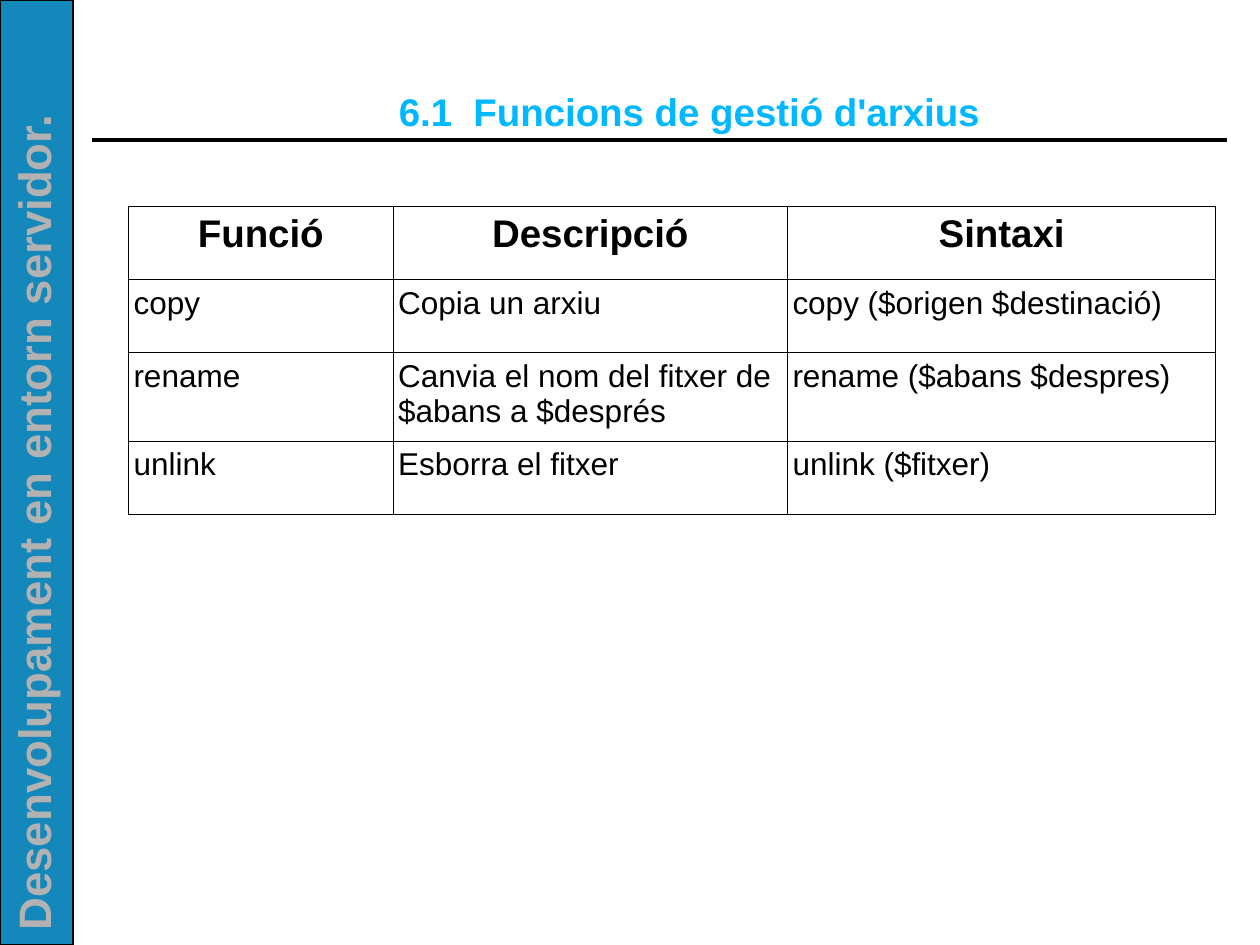
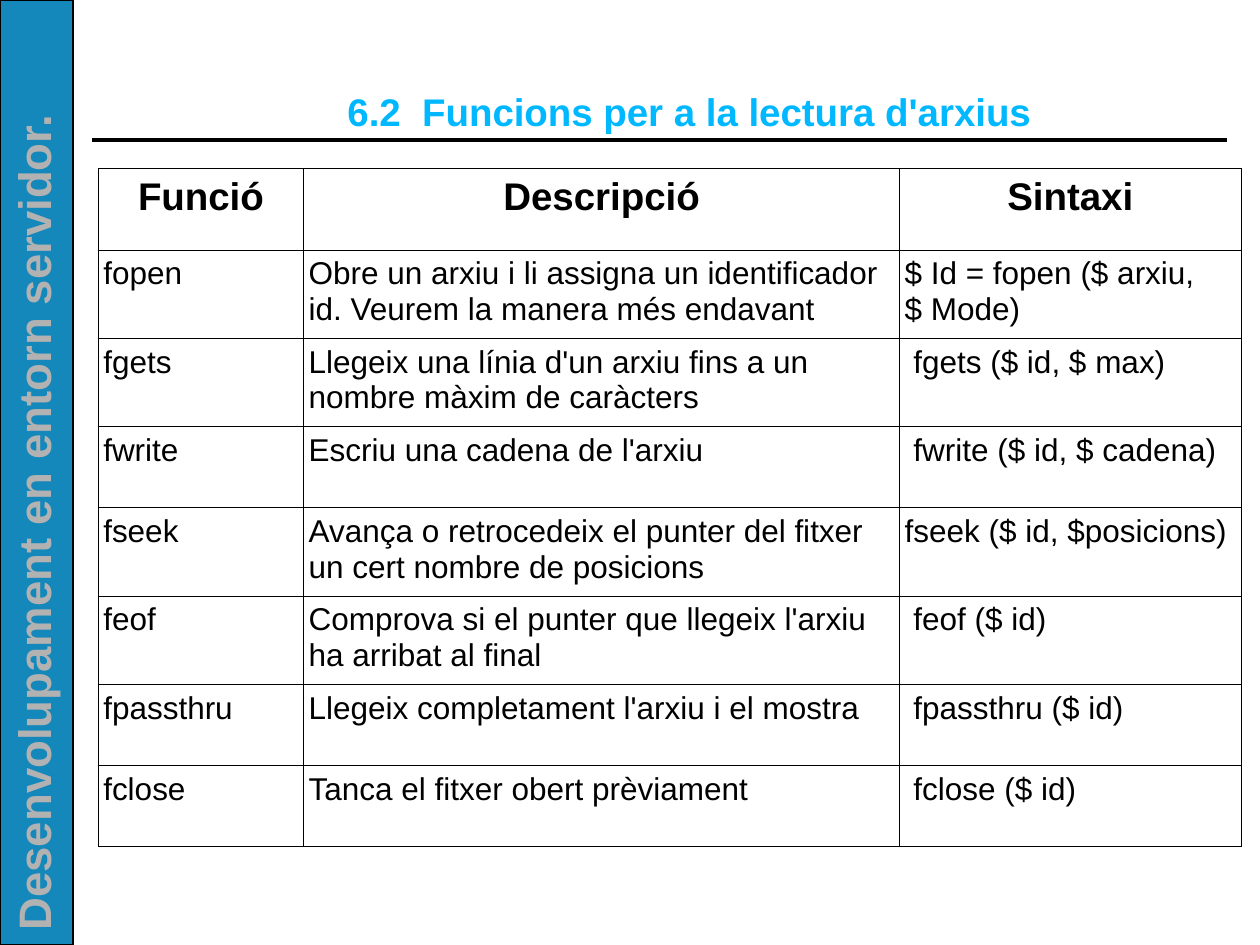
"""Build two slides of PHP file functions with a shared side band and title style."""
from dataclasses import dataclass

from lxml import etree
from pptx import Presentation
from pptx.dml.color import RGBColor
from pptx.enum.shapes import MSO_CONNECTOR, MSO_SHAPE
from pptx.enum.text import MSO_ANCHOR, PP_ALIGN
from pptx.oxml.ns import qn
from pptx.slide import Slide
from pptx.table import _Cell
from pptx.text.text import TextFrame
from pptx.util import Inches, Pt

STRAIGHT = MSO_CONNECTOR.STRAIGHT
RECTANGLE = MSO_SHAPE.RECTANGLE
MIDDLE = MSO_ANCHOR.MIDDLE
TOP = MSO_ANCHOR.TOP
LEFT = PP_ALIGN.LEFT
CENTER = PP_ALIGN.CENTER

BLACK = RGBColor(0x00, 0x00, 0x00)
BAND_BLUE = RGBColor(0x15, 0x88, 0xBB)
BAND_GREY = RGBColor(0xB2, 0xB2, 0xB2)
TITLE_BLUE = RGBColor(0x00, 0xB8, 0xFF)

FONT = "Arial"
SLIDE_WIDTH, SLIDE_HEIGHT = Inches(10), Inches(7.5)
COLUMNS, ROWS = 100, 75
BORDER_WIDTH = Pt(0.57)
COURSE = "Desenvolupament en entorn servidor."
HEADINGS = ("Funció", "Descripció", "Sintaxi")


@dataclass(frozen=True)
class TextStyle:
    size: int
    color: RGBColor
    bold: bool
    align: PP_ALIGN


@dataclass(frozen=True)
class Box:
    left: float
    top: float
    width: float
    height: float


@dataclass(frozen=True)
class FunctionPage:
    title: str
    left: float
    top: float
    widths: tuple[float, ...]
    row_height: float
    functions: tuple[tuple[str, str, str], ...]


COURSE_STYLE = TextStyle(26, BAND_GREY, True, LEFT)
TITLE_STYLE = TextStyle(22, TITLE_BLUE, True, CENTER)
HEADING_STYLE = TextStyle(22, BLACK, True, CENTER)
BODY_STYLE = TextStyle(18, BLACK, False, LEFT)

BAND_BOX = Box(0, 0, 5.8, 75)
COURSE_BOX = Box(-32.4, 37.4, 69.8, 5.1)
TITLE_BOX = Box(13.8, 6.4, 82.7, 4.9)
RULE_LEFT, RULE_RIGHT, RULE_ROW = 7.3, 97.4, 11.1

PAGES = (
    FunctionPage(
        "6.1  Funcions de gestió d'arxius ", 10.2, 16.4, (21, 31.3, 34), 5.8,
        (
            ("copy", "Copia un arxiu", "copy ($origen $destinació)"),
            ("rename", "Canvia el nom del fitxer de $abans a $després",
             "rename ($abans $despres)"),
            ("unlink", "Esborra el fitxer", "unlink ($fitxer)"),
        ),
    ),
    FunctionPage(
        "6.2  Funcions per a la lectura d'arxius ", 7.8, 13.4, (16.3, 47.3, 27.1), 6.45,
        (
            ("fopen",
             "Obre un arxiu i li assigna un identificador id. Veurem la manera més endavant",
             "$ Id = fopen ($ arxiu,\n$ Mode)"),
            ("fgets", "Llegeix una línia d'un arxiu fins a un nombre màxim de caràcters",
             " fgets ($ id, $ max)"),
            ("fwrite", "Escriu una cadena de l'arxiu", " fwrite ($ id, $ cadena)"),
            ("fseek", "Avança o retrocedeix el punter del fitxer un cert nombre de posicions",
             "fseek ($ id, $posicions)"),
            ("feof", "Comprova si el punter que llegeix l'arxiu ha arribat al final",
             " feof ($ id)"),
            ("fpassthru", "Llegeix completament l'arxiu i el mostra", " fpassthru ($ id)"),
            ("fclose", "Tanca el fitxer obert prèviament", " fclose ($ id)"),
        ),
    ),
)


def col(count: float) -> int:
    """Return the width of a number of grid columns."""
    return round(SLIDE_WIDTH * count / COLUMNS)


def row(count: float) -> int:
    """Return the height of a number of grid rows."""
    return round(SLIDE_HEIGHT * count / ROWS)


def place(box: Box) -> tuple[int, int, int, int]:
    """Convert a grid box to slide lengths."""
    return col(box.left), row(box.top), col(box.width), row(box.height)


def write(frame: TextFrame, text: str, style: TextStyle) -> None:
    """Fill a text frame in one style."""
    frame.text = text
    frame.word_wrap = True
    for paragraph in frame.paragraphs:
        paragraph.alignment = style.align
        paragraph.font.name = FONT
        paragraph.font.size = Pt(style.size)
        paragraph.font.bold = style.bold
        paragraph.font.color.rgb = style.color


def draw_frame(slide: Slide, title: str) -> None:
    """Draw the side band, the rule and the title."""
    rule = slide.shapes.add_connector(
        STRAIGHT, col(RULE_LEFT), row(RULE_ROW), col(RULE_RIGHT), row(RULE_ROW))
    rule.line.color.rgb = BLACK
    rule.line.width = Pt(0)
    etree.SubElement(rule.element.spPr, qn("a:effectLst"))

    band = slide.shapes.add_shape(RECTANGLE, *place(BAND_BOX))
    band.shadow.inherit = False
    band.fill.solid()
    band.fill.fore_color.rgb = BAND_BLUE
    band.line.color.rgb = BLACK
    band.line.width = Pt(1)

    course = slide.shapes.add_textbox(*place(COURSE_BOX))
    course.rotation = 270
    write(course.text_frame, COURSE, COURSE_STYLE)

    heading = slide.shapes.add_textbox(*place(TITLE_BOX))
    frame = heading.text_frame
    frame.margin_left = frame.margin_right = frame.margin_top = frame.margin_bottom = 0
    frame.vertical_anchor = MIDDLE
    write(frame, title, TITLE_STYLE)


def add_borders(cell: _Cell) -> None:
    """Give a cell a thin black line on every side."""
    properties = cell._tc.get_or_add_tcPr()
    for position, side in enumerate(("a:lnL", "a:lnR", "a:lnT", "a:lnB")):
        line = etree.Element(qn(side), w=str(int(BORDER_WIDTH)))
        fill = etree.SubElement(line, qn("a:solidFill"))
        etree.SubElement(fill, qn("a:srgbClr"), val=str(BLACK))
        properties.insert(position, line)


def draw_functions(slide: Slide, page: FunctionPage) -> None:
    """Draw the table of functions of a page."""
    lines = (HEADINGS, *page.functions)
    box = Box(page.left, page.top, sum(page.widths), page.row_height * len(lines))
    table = slide.shapes.add_table(len(lines), len(HEADINGS), *place(box)).table
    table.first_row = table.horz_banding = False
    for column, width in zip(table.columns, page.widths):
        column.width = col(width)
    for index, texts in enumerate(lines):
        table.rows[index].height = row(page.row_height)
        style = BODY_STYLE if index else HEADING_STYLE
        for cell, text in zip(table.rows[index].cells, texts):
            cell.fill.background()
            cell.margin_left = cell.margin_right = col(0.4)
            cell.margin_top = cell.margin_bottom = row(0.5)
            cell.vertical_anchor = TOP
            write(cell.text_frame, text, style)
            add_borders(cell)


def main() -> None:
    """Build and save the presentation."""
    deck = Presentation()
    deck.slide_width, deck.slide_height = SLIDE_WIDTH, SLIDE_HEIGHT
    blank = deck.slide_layouts[6]
    for page in PAGES:
        slide = deck.slides.add_slide(blank)
        draw_frame(slide, page.title)
        draw_functions(slide, page)
    deck.save("out.pptx")


if __name__ == "__main__":
    main()
